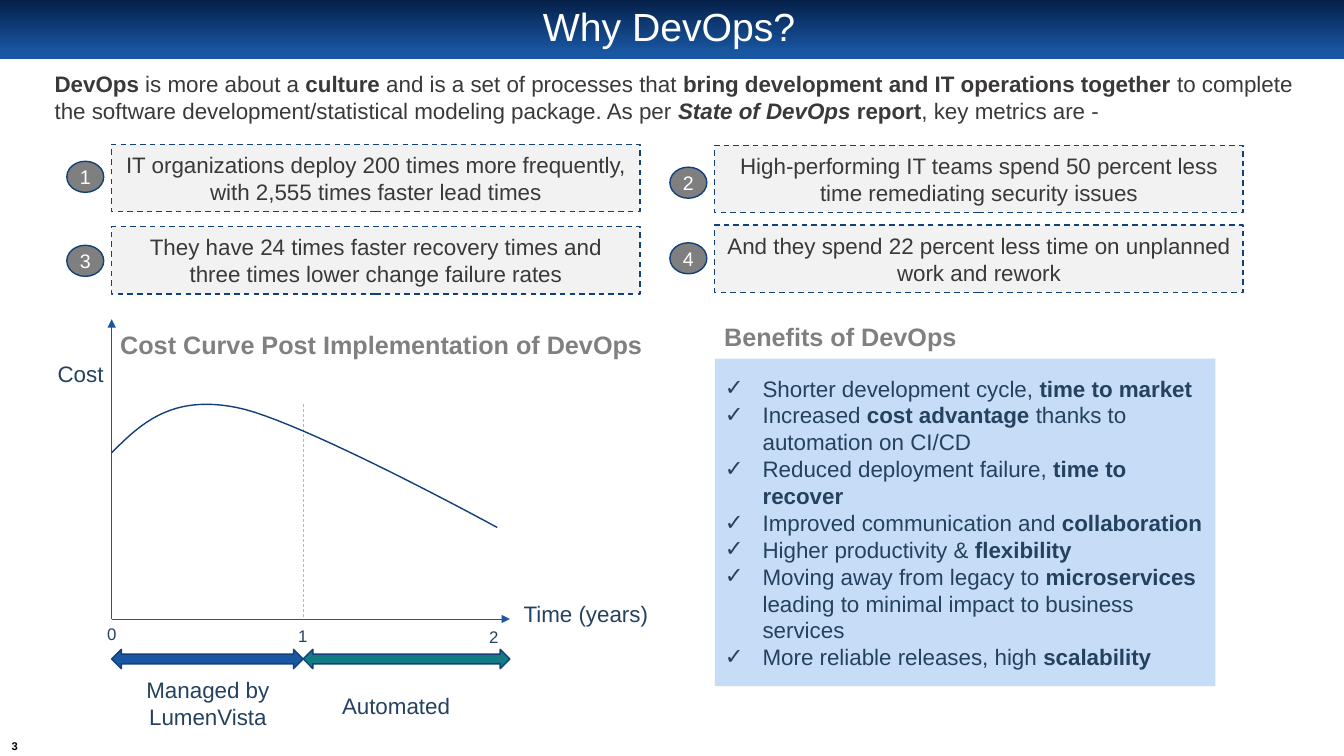
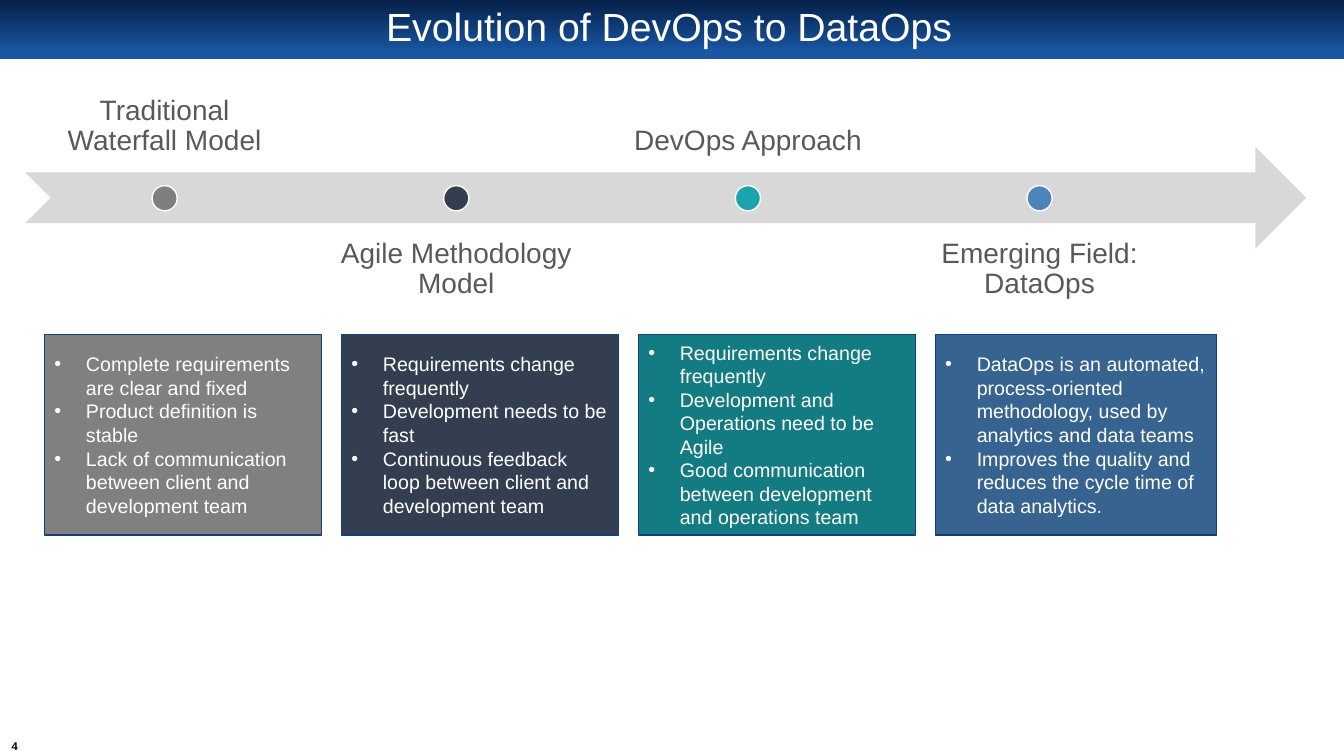
from dataclasses import dataclass

from lxml import etree
from pptx import Presentation
from pptx import util as u
from pptx.dml.color import RGBColor
from pptx.enum import dml, shapes, text
from pptx.oxml.ns import qn

COLS, ROWS = 160, 90
CELL = u.Inches(1 / 12)
SHAPE = shapes.MSO_SHAPE
ALIGN = text.PP_ALIGN
ANCHOR = text.MSO_ANCHOR


@dataclass(frozen=True)
class Theme:
    font: str = "Arial"
    white: str = "FFFFFF"
    black: str = "000000"
    band_dark: str = "052049"
    blue: str = "1957A3"
    outline: str = "124079"
    teal: str = "137B82"
    bright_teal: str = "1AA4AD"
    sky: str = "4D84BC"
    steel: str = "366390"
    navy: str = "333F50"
    pale_blue: str = "C7DCF6"
    panel: str = "F2F2F2"
    arrow: str = "D8D8D8"
    badge: str = "7F7F7F"
    grey: str = "808080"
    caption: str = "595959"
    guide: str = "ADB9CA"
    body: str = "3B3838"
    label: str = "244260"
    title_size: int = 28
    caption_size: int = 20
    heading_size: int = 18
    body_size: int = 16
    small_size: int = 14
    tick_size: int = 12
    number_size: int = 8


T = Theme()

METRICS = [  # text, box column, box row, badge row
    ("IT organizations deploy 200 times more frequently, with 2,555 times faster lead times",
     13.3, 17.2, 19.2),
    ("High-performing IT teams spend 50 percent less time remediating security issues",
     85.1, 17.3, 19.9),
    ("They have 24 times faster recovery times and three times lower change failure rates",
     13.3, 27, 29.2),
    ("And they spend 22 percent less time on unplanned work and rework",
     85.1, 26.8, 28.9),
]

BENEFITS = [
    "Shorter development cycle, *time to market*",
    "Increased *cost advantage *thanks to automation on CI/CD",
    "Reduced deployment failure, *time to recover*",
    "Improved communication and *collaboration*",
    "Higher productivity & *flexibility*",
    "Moving away from legacy to *microservices* leading to minimal impact to business services",
    "More reliable releases, high *scalability*",
]

STAGES = [  # caption, dot colour, card colour, card width, points
    ("Traditional Waterfall Model", T.badge, T.grey, 33,
     ["Complete requirements are clear and fixed",
      "Product definition is stable",
      "Lack of communication between client and development team"]),
    ("Agile Methodology Model", T.navy, T.navy, 33,
     ["Requirements change frequently",
      "Development needs to be fast",
      "Continuous feedback loop between client and development team"]),
    ("DevOps Approach", T.bright_teal, T.teal, 33,
     ["Requirements change frequently",
      "Development and Operations need to be Agile",
      "Good communication between development and operations team"]),
    ("Emerging Field: DataOps", T.sky, T.steel, 33.5,
     ["DataOps is an automated, process-oriented methodology, used by analytics and data teams",
      "Improves the quality and reduces the cycle time of data analytics."]),
]


def rgb(value):
    return RGBColor.from_string(value)


def cells(*values):
    return [u.Emu(round(v * CELL)) for v in values]


def write(tf, paras, size=T.body_size, color=T.label, bold=False, align=ALIGN.CENTER,
          anchor=ANCHOR.MIDDLE, inset=None, wrap=True, spacing=None, before=None,
          indent=0, hanging=0, bullet=None):
    """Fill a text frame; *stars* mark bold parts, and ~ opens an italic one."""
    tf.word_wrap = wrap
    tf.auto_size = text.MSO_AUTO_SIZE.NONE
    tf.vertical_anchor = anchor
    if inset is not None:
        tf.margin_left = tf.margin_right = tf.margin_top = tf.margin_bottom = cells(inset)[0]
    for i, para in enumerate([paras] if isinstance(paras, str) else paras):
        p = tf.add_paragraph() if i else tf.paragraphs[0]
        p.alignment = align
        p.line_spacing = spacing
        p.space_before = before
        set_bullet(p, bullet, indent, hanging)
        for j, part in enumerate(para.split("*")):
            if not part:
                continue
            r = p.add_run()
            r.text = part.lstrip("~")
            f = r.font
            f.name, f.size, f.color.rgb = T.font, u.Pt(size), rgb(color)
            f.bold = bold or j % 2 == 1
            f.italic = part.startswith("~")


def set_bullet(p, bullet, indent, hanging):
    pPr = p._p.get_or_add_pPr()
    left, first = cells(indent, -hanging)
    pPr.set("marL", str(left))
    pPr.set("indent", str(first))
    if bullet:
        etree.SubElement(pPr, qn("a:buFont")).set("typeface", T.font)
        etree.SubElement(pPr, qn("a:buChar")).set("char", bullet)
    else:
        etree.SubElement(pPr, qn("a:buNone"))


def outline(line, color, width=1, dash=False):
    line.color.rgb = rgb(color)
    line.width = u.Pt(width)
    if dash:
        line.dash_style = dml.MSO_LINE.DASH


def add_box(s, kind, at, fill, line=None, dash=False, paras=None, **fmt):
    sp = s.shapes.add_shape(kind, *cells(*at))
    sp.shadow.inherit = False
    sp.fill.solid()
    sp.fill.fore_color.rgb = rgb(fill)
    if line:
        outline(sp.line, line, dash=dash)
    else:
        sp.line.fill.background()
    if paras:
        write(sp.text_frame, paras, **fmt)
    return sp


def add_label(s, at, paras, **fmt):
    write(s.shapes.add_textbox(*cells(*at)).text_frame, paras, **fmt)


def add_line(s, start, end, color, dash=False, arrow=False):
    c = s.shapes.add_connector(shapes.MSO_CONNECTOR.STRAIGHT, *cells(*start, *end))
    outline(c.line, color, 0.5, dash)
    if arrow:
        etree.SubElement(c.line._get_or_add_ln(), qn("a:tailEnd")).set("type", "triangle")
    etree.SubElement(c._element.spPr, qn("a:effectLst"))


def bezier(p0, p1, p2, p3, steps=24):
    for k in range(1, steps + 1):
        t = k / steps
        weights = ((1 - t) ** 3, 3 * t * (1 - t) ** 2, 3 * t * t * (1 - t), t ** 3)
        yield tuple(sum(w * p[axis] for w, p in zip(weights, (p0, p1, p2, p3)))
                    for axis in (0, 1))


def add_curve(s, start, *segments):
    points, here = [], start
    for segment in segments:
        points += bezier(here, *segment)
        here = segment[-1]
    builder = s.shapes.build_freeform(*cells(*start))
    builder.add_line_segments([cells(*pt) for pt in points], close=False)
    sp = builder.convert_to_shape()
    sp.shadow.inherit = False
    sp.fill.background()
    outline(sp.line, T.outline)


def add_master_band(prs, s):
    """Draw the title band and move it to the back of the slide master."""
    band = add_box(s, SHAPE.RECTANGLE, (0, 0, COLS, 7), T.blue)
    band.fill.gradient()
    band.fill.gradient_angle = 270
    for stop, color, position in zip(band.fill.gradient_stops, (T.band_dark, T.blue), (0, 0.9)):
        stop.color.rgb = rgb(color)
        stop.position = position
    prs.slide_master.shapes._spTree.insert(2, band._element)


def fill_placeholder(ph, at, paras, **fmt):
    ph.left, ph.top, ph.width, ph.height = cells(*at)
    write(ph.text_frame, paras, **fmt)


def new_slide(prs, layout, title, number):
    s = prs.slides.add_slide(prs.slide_layouts[layout])
    fill_placeholder(s.shapes.title, (7.9, 0.7, 143.5, 5.4), title,
                     size=T.title_size, color=T.white, spacing=0.9)
    add_label(s, (0.24, 87.6, 3, 2.3), number, size=T.number_size, color=T.black,
              bold=True, inset=0, wrap=False)
    return s


def add_metrics(s):
    for i, (metric, col, row, badge_row) in enumerate(METRICS, 1):
        add_box(s, SHAPE.RECTANGLE, (col, row, 62.9, 8), T.panel, T.outline, dash=True,
                paras=metric, color=T.body)
        add_box(s, SHAPE.OVAL, (col - 5.35, badge_row, 4.4, 3.7), T.badge, T.outline,
                paras=str(i), size=T.small_size, color=T.white, inset=0)


def add_cost_curve(s):
    x0, x1, x2, base = 13.3, 36.1, 60.7, 73.7
    add_label(s, (12.5, 37.7, 65.8, 6.5), "Cost Curve Post Implementation of DevOps",
              size=T.heading_size, color=T.grey, bold=True)
    add_line(s, (x0, base), (x2, base), T.blue, arrow=True)
    add_line(s, (x0, base), (x0, 38), T.blue, arrow=True)
    add_line(s, (x1, 48.1), (x1, base), T.guide, dash=True)
    add_curve(s, (x0, 53.9),
              ((16.8, 50.4), (20.4, 47), (28.1, 48.5)),
              ((35.6, 49.9), (59.2, 62.8), (59.2, 62.8)))
    for left, right, color in ((x0, x1, T.blue), (x1, x2, T.teal)):
        add_box(s, SHAPE.LEFT_RIGHT_ARROW, (left, 77.3, right - left, 2.3), color, T.outline)
    for year in range(3):
        add_label(s, (8.5 + 22.75 * year, 73.1 + 0.15 * year, 9.6, 4.8), str(year),
                  size=T.tick_size)
    for at, label in (((60.4, 70.8, 18.7, 4.6), "Time (years)"),
                      ((4.3, 42.1, 10.6, 4.8), "Cost"),
                      ((15.4, 80.2, 18.7, 7), "Managed by LumenVista"),
                      ((37.8, 80.5, 18.7, 7), "Automated")):
        add_label(s, at, label)


def add_benefits(s):
    add_label(s, (84.2, 38, 31.7, 4.2), "Benefits of DevOps",
              size=T.heading_size, color=T.grey, bold=True)
    add_box(s, SHAPE.RECTANGLE, (85.1, 42.7, 59.6, 39), T.pale_blue, paras=BENEFITS,
            align=ALIGN.LEFT, bullet="✓", indent=4.5, hanging=4.5)


def add_timeline(s):
    add_box(s, SHAPE.NOTCHED_RIGHT_ARROW, (3, 17.5, 152.5, 12.1), T.arrow)
    for i, (caption, dot, card, width, points) in enumerate(STAGES):
        shift = 34.72 * i
        row, anchor = (26.6, ANCHOR.TOP) if i % 2 else (8.5, ANCHOR.BOTTOM)
        add_label(s, (3.1 + shift, row, 33, 12.1), caption, size=T.caption_size,
                  color=T.caption, anchor=anchor, inset=1.92, spacing=0.9)
        add_box(s, SHAPE.OVAL, (18.1 + shift, 22.1, 3, 3), dot, T.white)
        add_box(s, SHAPE.RECTANGLE, (5.3 + 35.35 * i, 39.8, width, 23.9), card, T.outline,
                paras=points, size=T.small_size, color=T.white, align=ALIGN.LEFT,
                bullet="•", indent=3.75, hanging=3.75)


def main():
    prs = Presentation()
    prs.slide_width, prs.slide_height = cells(COLS, ROWS)

    s = new_slide(prs, 1, "Why DevOps?", "3")
    add_master_band(prs, s)
    fill_placeholder(
        s.placeholders[1], (2.3, 7.8, 154, 8.5),
        "*DevOps* is more about a *culture* and is a set of processes that "
        "*bring development and IT operations together *to complete the software "
        "development/statistical modeling package. As per *~State of DevOps **report*"
        ", key metrics are -",
        color=T.body, align=ALIGN.LEFT, anchor=ANCHOR.TOP, indent=3, before=u.Pt(0))
    add_metrics(s)
    add_cost_curve(s)
    add_benefits(s)

    s = new_slide(prs, 5, "Evolution of DevOps to DataOps", "4")
    add_timeline(s)
    prs.save("out.pptx")


if __name__ == "__main__":
    main()
